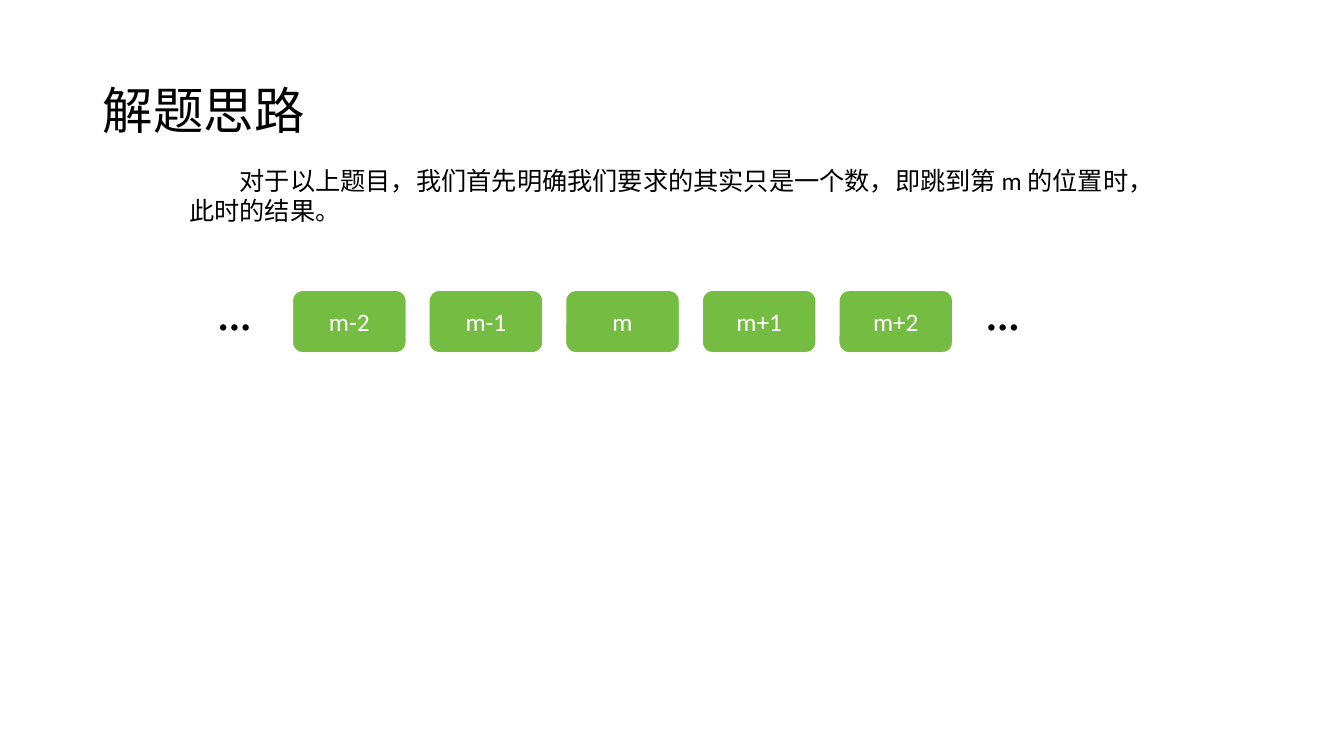
import pptx
import pptx.util
import pptx.dml.color
import pptx.enum.shapes
import pptx.enum.text

Inches = pptx.util.Inches
ALIGN = pptx.enum.text.PP_ALIGN
ANCHOR = pptx.enum.text.MSO_ANCHOR
BLACK = pptx.dml.color.RGBColor(0x00, 0x00, 0x00)
WHITE = pptx.dml.color.RGBColor(0xFF, 0xFF, 0xFF)
GREEN = pptx.dml.color.RGBColor(0x75, 0xBD, 0x42)


def write(shape, text, size=18, color=BLACK, align=ALIGN.LEFT,
          anchor=ANCHOR.TOP, wrap=True, indent=0, space=None):
    """Put formatted text in a shape."""
    frame = shape.text_frame
    frame.word_wrap = wrap
    frame.vertical_anchor = anchor
    para = frame.paragraphs[0]
    para.alignment = align
    para.line_spacing = space
    if indent:
        props = para._p.get_or_add_pPr()
        props.set("marL", "0")
        props.set("indent", str(Inches(indent)))
    run = para.add_run()
    run.text = text
    run.font.name = "Calibri"
    run.font.size = pptx.util.Pt(size)
    run.font.color.rgb = color


def add_title(slide, left, top, width, height):
    """Place the slide title."""
    title = slide.shapes.title
    title.left, title.top = Inches(left), Inches(top)
    title.width, title.height = Inches(width), Inches(height)
    write(title, "解题思路", size=36, anchor=ANCHOR.MIDDLE, space=0.9)


def add_intro(slide, left, top, width, height):
    """Place the opening paragraph."""
    box = slide.shapes.add_textbox(
        Inches(left), Inches(top), Inches(width), Inches(height))
    write(box, "对于以上题目，我们首先明确我们要求的其实只是一个数，"
          "即跳到第 m 的位置时，此时的结果。", indent=0.5)


def add_steps(slide, left, top, width, height):
    """Place the row of positions between two ellipses."""
    group = slide.shapes.add_group_shape()
    labels = ["m-2", "m-1", "m", "m+1", "m+2"]
    start, pitch, tile = left + 0.84, 1.355, 1.13
    for i, label in enumerate(labels):
        card = group.shapes.add_shape(
            pptx.enum.shapes.MSO_SHAPE.ROUNDED_RECTANGLE,
            Inches(start + i * pitch), Inches(top), Inches(tile), Inches(height))
        card.shadow.inherit = False
        card.fill.solid()
        card.fill.fore_color.rgb = GREEN
        card.line.color.rgb = WHITE
        card.line.width = pptx.util.Pt(1)
        write(card, label, color=WHITE, align=ALIGN.CENTER, anchor=ANCHOR.MIDDLE)
    dots = 0.72
    for x in (left, left + width - dots):
        box = group.shapes.add_textbox(
            Inches(x), Inches(top), Inches(dots), Inches(0.64))
        write(box, "···", size=32, wrap=False)


def main():
    """Build and save the slide."""
    deck = pptx.Presentation()
    deck.slide_width, deck.slide_height = Inches(13.33), Inches(7.5)
    slide = deck.slides.add_slide(deck.slide_layouts.get_by_name("Title Only"))
    add_title(slide, 0.92, 0.4, 11.5, 1.45)
    add_intro(slide, 1.78, 1.59, 10, 0.71)
    add_steps(slide, 2.06, 2.88, 8.34, 0.62)
    deck.save("out.pptx")


if __name__ == "__main__":
    main()
